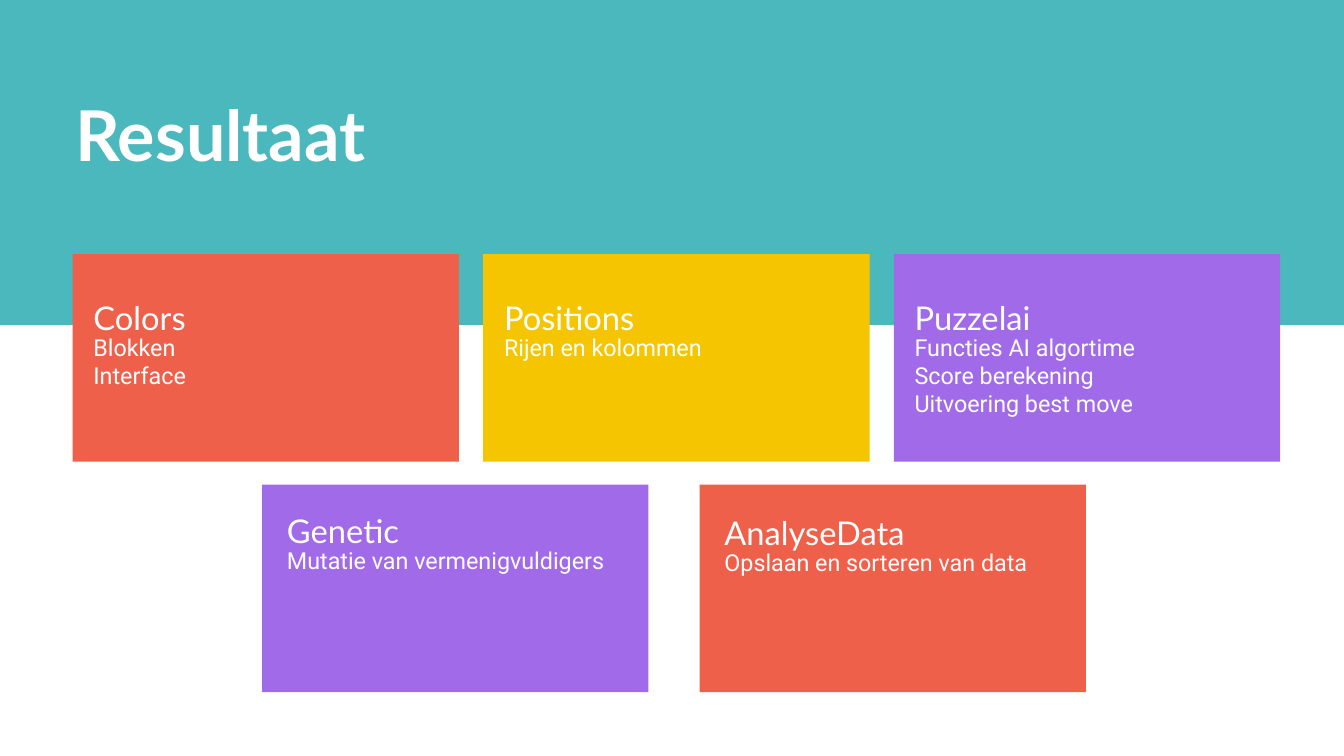
from pptx import Presentation
from pptx.dml.color import RGBColor
from pptx.enum.shapes import MSO_SHAPE
from pptx.enum.text import MSO_AUTO_SIZE
from pptx.util import Inches, Pt

TEAL = RGBColor(0x4B, 0xB8, 0xBE)
CORAL = RGBColor(0xEE, 0x60, 0x4A)
YELLOW = RGBColor(0xF4, 0xC5, 0x00)
PURPLE = RGBColor(0xA1, 0x6A, 0xE8)
WHITE = RGBColor(0xFF, 0xFF, 0xFF)

# Grid units: the slide is 20 columns wide and 11.25 rows high
COLS, ROWS = 20, 11.25
CARD_W, CARD_H = 5.75, 3.09
TEXT_W = 5.01


class Deck:
    """Holds the style and the current slide."""
    heading_font, body_font = "Lato", "Roboto"

    def __init__(self, prs):
        self.col = prs.slide_width / COLS
        self.row = prs.slide_height / ROWS
        self.s = prs.slides.add_slide(prs.slide_layouts[6])

    def box(self, x, y, w, h):
        return (round(x * self.col), round(y * self.row),
                round(w * self.col), round(h * self.row))

    def block(self, x, y, w, h, color):
        sp = self.s.shapes.add_shape(MSO_SHAPE.RECTANGLE, *self.box(x, y, w, h))
        sp.shadow.inherit = False
        sp.fill.solid()
        sp.fill.fore_color.rgb = color
        sp.line.fill.background()

    def text(self, x, y, w, h, lines, size, font, bold=False, spacing=None):
        tf = self.s.shapes.add_textbox(*self.box(x, y, w, h)).text_frame
        tf.margin_left = tf.margin_top = tf.margin_right = tf.margin_bottom = 0
        tf.word_wrap = True
        tf.auto_size = MSO_AUTO_SIZE.SHAPE_TO_FIT_TEXT
        for i, line in enumerate(lines):
            p = tf.paragraphs[0] if i == 0 else tf.add_paragraph()
            p.text = line
            p.line_spacing = spacing
            p.font.size = Pt(size)
            p.font.name = font
            p.font.bold = bold
            p.font.color.rgb = WHITE

    def heading(self, x, y, w, h, title, size, bold=False):
        self.text(x, y, w, h, [title], size, self.heading_font, bold, 1.2)

    def card(self, x, y, color, dx, dy, title, lines):
        self.block(x, y, CARD_W, CARD_H, color)
        self.heading(x + dx, y + dy, TEXT_W, 0.71, title, 35)
        self.text(x + dx, y + dy + 0.65, TEXT_W, 0.42 * len(lines), lines, 25,
                  self.body_font)


# Each row: left, top, step, cards (colour, text inset, title, lines)
CARD_ROWS = [
    (1.08, 3.78, 6.11, [
        (CORAL, 0.31, 0.53, "Colors", ["Blokken", "Interface"]),
        (YELLOW, 0.31, 0.53, "Positions", ["Rijen en kolommen"]),
        (PURPLE, 0.31, 0.53, "Puzzelai",
         ["Functies AI algortime", "Score berekening", "Uitvoering best move"]),
    ]),
    (3.9, 7.21, 6.51, [
        (PURPLE, 0.37, 0.27, "Genetic", ["Mutatie van vermenigvuldigers"]),
        (CORAL, 0.37, 0.3, "AnalyseData", ["Opslaan en sorteren van data"]),
    ]),
]


def main():
    prs = Presentation()
    prs.slide_width, prs.slide_height = Inches(COLS), Inches(ROWS)
    deck = Deck(prs)

    # Title band
    deck.block(0, 0, COLS, 4.84, TEAL)
    deck.heading(1.12, 1.11, 12.42, 1.51, "Resultaat", 75, bold=True)

    # Cards
    for left, top, step, cards in CARD_ROWS:
        for i, card in enumerate(cards):
            deck.card(left + i * step, top, *card)

    prs.save("out.pptx")


if __name__ == "__main__":
    main()
